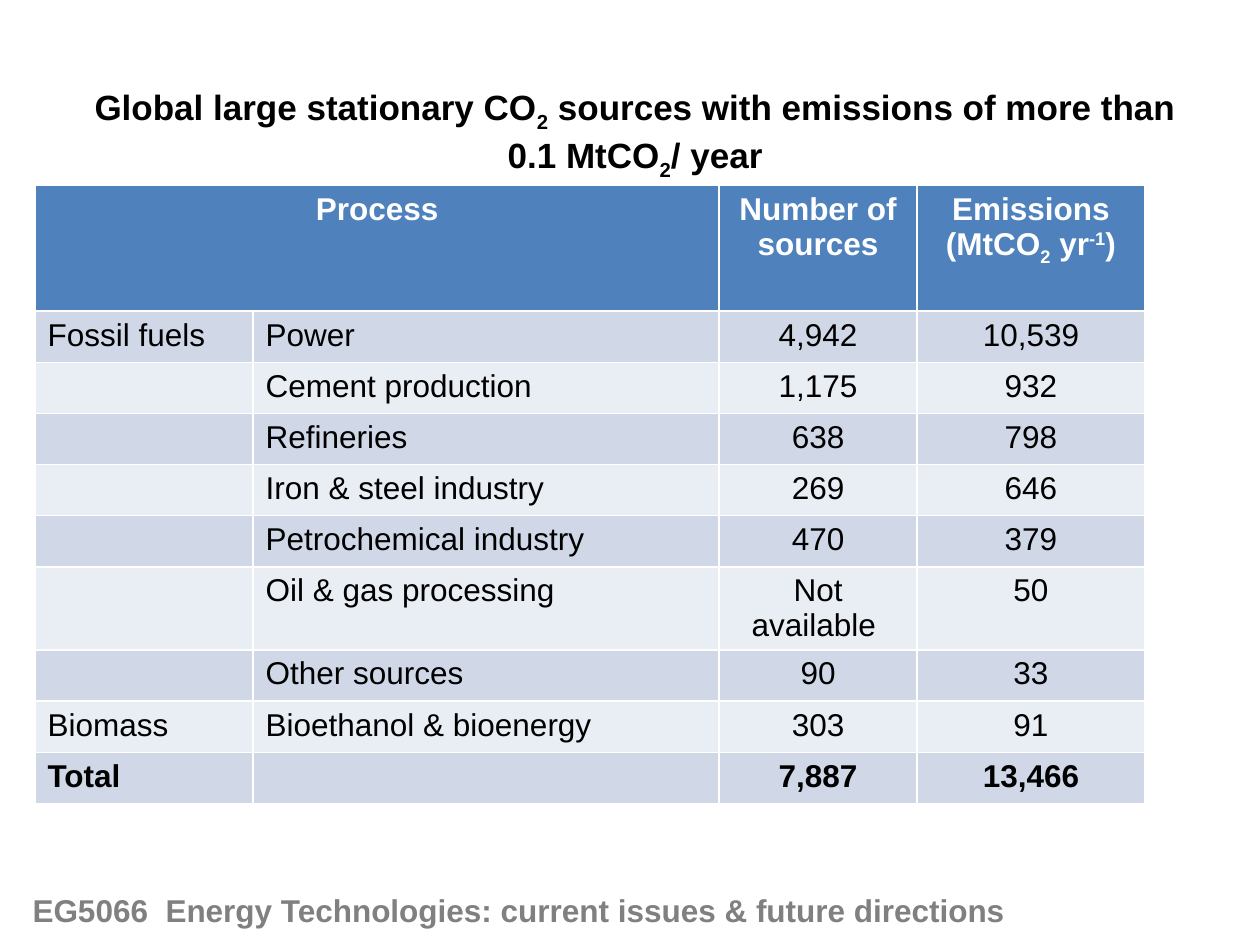
from pptx import Presentation
from pptx.dml.color import RGBColor
from pptx.enum.text import MSO_AUTO_SIZE, PP_ALIGN
from pptx.util import Pt

LEFT, CENTER = PP_ALIGN.LEFT, PP_ALIGN.CENTER
FIT_SHAPE = MSO_AUTO_SIZE.SHAPE_TO_FIT_TEXT
FONT = "Arial"
COLORS = {
    "text": "000000",
    "header_text": "FFFFFF",
    "footer": "808080",
    "header": "4F81BD",
    "odd": "D0D8E8",
    "even": "E9EDF4",
}
SUB, SUPER = -25000, 30000
TITLE = [
    ("Global large stationary CO", 0), ("2", SUB),
    (" sources with emissions of more than 0.1 MtCO", 0), ("2", SUB), ("/ year", 0),
]
FOOTER = [("EG5066  Energy Technologies: current issues & future directions", 0)]
EMISSIONS_UNIT = [("(MtCO", 0), ("2", SUB), (" yr", 0), ("-1", SUPER), (")", 0)]
HEADER = [
    [[("Process", 0)]],
    [],
    [[("Number of sources", 0)]],
    [[("Emissions", 0)], EMISSIONS_UNIT],
]
SOURCES = [
    ("Fossil fuels", "Power", "4,942", "10,539"),
    ("", "Cement production", "1,175", "932"),
    ("", "Refineries", "638", "798"),
    ("", "Iron & steel industry", "269", "646"),
    ("", "Petrochemical industry", "470", "379"),
    ("", "Oil & gas processing", "Not available ", "50"),
    ("", "Other sources", "90", "33"),
    ("Biomass", "Bioethanol & bioenergy", "303", "91"),
    ("Total", "", "7,887", "13,466"),
]
COLUMN_WIDTHS = [124.6, 266.4, 113, 130.3]
HEADER_HEIGHT, ROW_HEIGHT = 72, 29.25


class SlideBuilder:
    """Holds the text style and the current slide, and adds elements to it."""

    def __init__(self, slide):
        self.slide = slide

    def fill_text(self, tf, paragraphs, size, color, bold, align):
        for i, runs in enumerate(paragraphs):
            p = tf.add_paragraph() if i else tf.paragraphs[0]
            p.alignment = align
            p.font.name = FONT
            p.font.size = Pt(size)
            p.font.bold = bold
            p.font.color.rgb = RGBColor.from_string(COLORS[color])
            for text, baseline in runs:
                r = p.add_run()
                r.text = text
                if baseline:
                    r._r.get_or_add_rPr().set("baseline", str(baseline))

    def text(self, left, top, width, height, runs, size, color, align=LEFT):
        sp = self.slide.shapes.add_textbox(Pt(left), Pt(top), Pt(width), Pt(height))
        tf = sp.text_frame
        tf.word_wrap = True
        tf.auto_size = FIT_SHAPE
        self.fill_text(tf, [runs], size, color, True, align)

    def cell(self, cell, paragraphs, fill, color, bold, align):
        cell.fill.solid()
        cell.fill.fore_color.rgb = RGBColor.from_string(COLORS[fill])
        self.fill_text(cell.text_frame, paragraphs, 18, color, bold, align)

    def table(self, left, top, widths, header, rows):
        height = HEADER_HEIGHT + ROW_HEIGHT * len(rows)
        table = self.slide.shapes.add_table(
            len(rows) + 1, len(widths), Pt(left), Pt(top), Pt(sum(widths)), Pt(height)
        ).table
        for column, width in zip(table.columns, widths):
            column.width = Pt(width)
        for i, row in enumerate(table.rows):
            row.height = Pt(ROW_HEIGHT if i else HEADER_HEIGHT)
        for c, paragraphs in enumerate(header):
            self.cell(table.cell(0, c), paragraphs, "header", "header_text", True, CENTER)
        table.cell(0, 0).merge(table.cell(0, 1))
        for i, values in enumerate(rows, 1):
            fill = "odd" if i % 2 else "even"
            for c, value in enumerate(values):
                paragraphs = [[(value, 0)] if value else []]
                align = LEFT if c < 2 else CENTER
                self.cell(table.cell(i, c), paragraphs, fill, "text", i == len(rows), align)


def main():
    prs = Presentation()
    prs.slide_width, prs.slide_height = Pt(720), Pt(540)
    s = SlideBuilder(prs.slides.add_slide(prs.slide_layouts[6]))
    s.table(20, 105.8, COLUMN_WIDTHS, HEADER, SOURCES)
    s.text(39.6, 45.4, 646.6, 55.4, TITLE, 20, "text", CENTER)
    s.text(11.5, 505.4, 618.5, 28.8, FOOTER, 18, "footer")
    prs.save("out.pptx")


if __name__ == "__main__":
    main()
